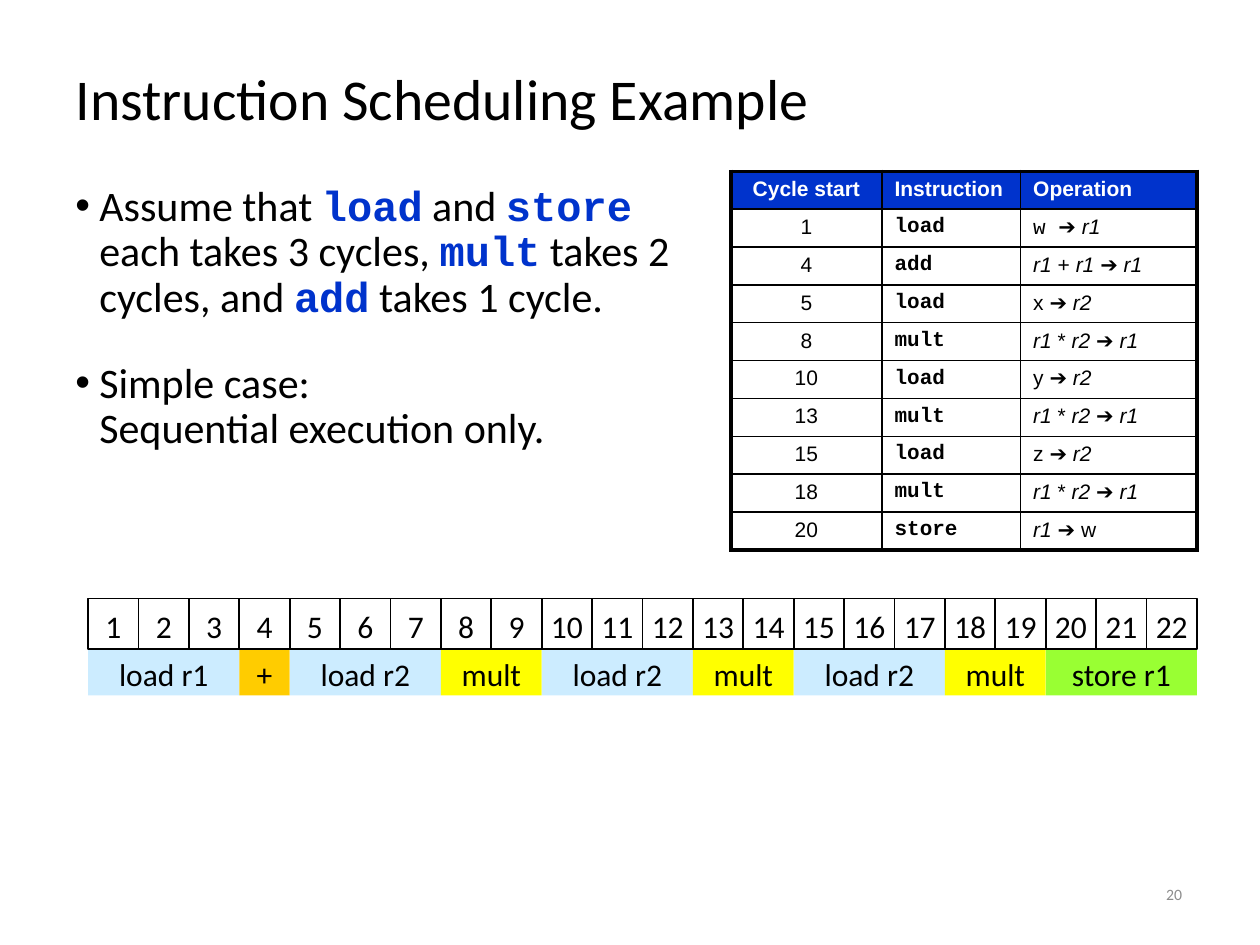
from dataclasses import dataclass

from lxml.etree import SubElement
from pptx import Presentation
from pptx.dml.color import RGBColor
from pptx.enum.shapes import MSO_SHAPE
from pptx.enum.text import MSO_ANCHOR, MSO_AUTO_SIZE, PP_ALIGN
from pptx.oxml.ns import qn
from pptx.util import Inches, Pt


@dataclass(frozen=True)
class Theme:
    """Colours, fonts and type sizes of the slide."""
    black: str = "000000"
    white: str = "FFFFFF"
    blue: str = "0033CC"
    grey: str = "8C8C8C"
    load: str = "CCECFF"
    add: str = "FFCC00"
    mult: str = "FFFF00"
    store: str = "99FF33"
    sans: str = "Calibri"
    table: str = "Arial"
    mono: str = "Courier New"
    title_size: float = 33
    body_size: float = 24
    cell_size: float = 12
    track_size: float = 18
    number_size: float = 9
    thin: float = 1
    thick: float = 2.25


T = Theme()

BULLETS = [
    ("Assume that `load` and `store` each takes 3 cycles, `mult` takes 2 "
     "cycles, and `add` takes 1 cycle.", 7.5),
    ("Simple case: \vSequential execution only.", 23.4),
]
HEADERS = ["Cycle start", "Instruction", "Operation"]
PRODUCT = "_r1_ * _r2 _➔ _r1_"
SCHEDULE = [
    ("1", "`load`", "`w `➔ _r1_"),
    ("4", "`add`", "_r1_ + _r1 _➔ _r1_"),
    ("5", "`load`", "x ➔ _r2_"),
    ("8", "`mult`", PRODUCT),
    ("10", "`load`", "y ➔ _r2_"),
    ("13", "`mult`", PRODUCT),
    ("15", "`load`", "z ➔ _r2_"),
    ("18", "`mult`", PRODUCT),
    ("20", "`store`", "_r1 _➔ w"),
]
TRACK = [
    ("load r1", 3, T.load), ("+", 1, T.add), ("load r2", 3, T.load),
    ("mult", 2, T.mult), ("load r2", 3, T.load), ("mult", 2, T.mult),
    ("load r2", 3, T.load), ("mult", 2, T.mult), ("store r1", 3, T.store),
]
TRACK_LEFT, CYCLES_TOP, CYCLE = 0.7, 4.75, 0.4


def apply(obj, values):
    """Set each named attribute on an object."""
    for name, value in values.items():
        setattr(obj, name, value)


def font(size, name=T.sans, color=T.black, **extra):
    """Return a font format as a dict."""
    return {"size": Pt(size), "name": name, "color": color, **extra}


def add_run(p, text, fmt):
    """Add one formatted run to a paragraph."""
    r = p.add_run()
    r.text = text
    apply(r.font, {k: v for k, v in fmt.items() if k != "color"})
    r.font.color.rgb = RGBColor.from_string(fmt["color"])


def add_rich(p, text, fmt, code=None):
    """Add text in which backticks mark code and underscores mark italics."""
    for i, part in enumerate(text.split("`")):
        for j, bit in enumerate(part.split("_")):
            style = {**fmt, **(code or {})} if i % 2 else fmt
            for n, line in enumerate(bit.split("\v")):
                if n:
                    p.add_line_break()
                if line:
                    add_run(p, line, {**style, "italic": bool(j % 2)})


def add_title(s, text):
    """Place and format the title placeholder."""
    sp = s.shapes.title
    apply(sp, {"left": Inches(0.5), "top": Inches(0.45),
               "width": Inches(9), "height": Inches(0.72)})
    apply(sp.text_frame, {"vertical_anchor": MSO_ANCHOR.MIDDLE,
                          "auto_size": MSO_AUTO_SIZE.NONE})
    p = sp.text_frame.paragraphs[0]
    apply(p, {"alignment": PP_ALIGN.LEFT, "line_spacing": 0.9})
    add_run(p, text, font(T.title_size))


def add_bullets(s, bullets):
    """Add the bulleted text."""
    tf = s.shapes.add_textbox(Inches(0.5), Inches(1.42),
                              Inches(5.3), Inches(2.93)).text_frame
    tf.word_wrap = True
    code = {"name": T.mono, "color": T.blue, "bold": True}
    for i, (text, before) in enumerate(bullets):
        p = tf.add_paragraph() if i else tf.paragraphs[0]
        apply(p, {"line_spacing": 0.9, "space_before": Pt(before)})
        pPr = p._p.get_or_add_pPr()
        pPr.set("marL", str(Inches(0.19)))
        pPr.set("indent", str(-Inches(0.19)))
        SubElement(pPr, qn("a:buFont"), typeface=T.table)
        SubElement(pPr, qn("a:buChar"), char="•")
        add_rich(p, text, font(T.body_size), code)


def add_border(cell, side, width):
    """Draw one side of a table cell."""
    ln = SubElement(cell._tc.get_or_add_tcPr(), qn(f"a:ln{side}"),
                    w=str(Pt(width)))
    fill = SubElement(ln, qn("a:solidFill"))
    SubElement(fill, qn("a:srgbClr"), val=T.black)


def format_cell(cell, outer, fill=None):
    """Draw borders, thick on the outer sides, and set the fill."""
    for side in "LRTB":
        add_border(cell, side, T.thick if side in outer else T.thin)
    if fill:
        cell.fill.solid()
        cell.fill.fore_color.rgb = RGBColor.from_string(fill)
    else:
        cell.fill.background()


def add_schedule(s):
    """Add the table of cycles, instructions and operations."""
    rows = [HEADERS, *SCHEDULE]
    last, height = len(rows) - 1, Inches(0.29)
    tbl = s.shapes.add_table(len(rows), 3, Inches(5.8), Inches(1.36),
                             Inches(3.7), height * len(rows)).table
    apply(tbl, {"first_row": False, "horz_banding": False})
    for col, width in zip(tbl.columns, (1.2, 1.1, 1.4)):
        col.width = Inches(width)
    for i, row in enumerate(rows):
        tbl.rows[i].height = height
        for j, text in enumerate(row):
            cell = tbl.cell(i, j)
            edges = {"T": i == 0, "B": i == last, "L": j == 0, "R": j == 2}
            format_cell(cell, [k for k, on in edges.items() if on],
                        None if i else T.blue)
            p = cell.text_frame.paragraphs[0]
            p.alignment = PP_ALIGN.LEFT if j else PP_ALIGN.CENTER
            fmt = font(T.cell_size, T.table, T.black if i else T.white,
                       bold=i == 0)
            add_rich(p, text, fmt, {"name": T.mono, "bold": j == 1})


def add_box(shapes, left, top, width, height, text, fill=None, **frame):
    """Add a labelled rectangle, filled or outlined."""
    sp = shapes.add_shape(MSO_SHAPE.RECTANGLE, Inches(left), Inches(top),
                          Inches(width), Inches(height))
    sp.shadow.inherit = False
    if fill:
        sp.fill.solid()
        sp.fill.fore_color.rgb = RGBColor.from_string(fill)
        sp.line.fill.background()
    else:
        sp.fill.background()
        sp.line.color.rgb = RGBColor.from_string(T.black)
        sp.line.width = Pt(T.thin)
    apply(sp.text_frame, frame)
    p = sp.text_frame.paragraphs[0]
    p.alignment = PP_ALIGN.CENTER
    add_run(p, text, font(T.track_size))


def add_timeline(s):
    """Add the operation bars and the numbered cycles above them."""
    start = 0
    for text, cycles, fill in TRACK:
        add_box(s.shapes, TRACK_LEFT + start * CYCLE, CYCLES_TOP + CYCLE,
                cycles * CYCLE, 0.37, text, fill,
                vertical_anchor=MSO_ANCHOR.TOP, word_wrap=True)
        start += cycles
    group = s.shapes.add_group_shape()
    for i in range(start):
        add_box(group.shapes, TRACK_LEFT + i * CYCLE, CYCLES_TOP, CYCLE, CYCLE,
                str(i + 1), vertical_anchor=MSO_ANCHOR.MIDDLE,
                word_wrap=False, margin_top=Inches(0.08))


def add_number(s, text):
    """Add the slide number."""
    tf = s.shapes.add_textbox(Inches(7.4), Inches(6.85),
                              Inches(2.08), Inches(0.5)).text_frame
    apply(tf, {"word_wrap": True, "vertical_anchor": MSO_ANCHOR.MIDDLE})
    p = tf.paragraphs[0]
    p.alignment = PP_ALIGN.RIGHT
    add_run(p, text, font(T.number_size, color=T.grey))


def main():
    """Build and save the slide."""
    prs = Presentation()
    apply(prs, {"slide_width": Inches(10), "slide_height": Inches(7.5)})
    s = prs.slides.add_slide(prs.slide_layouts[5])
    add_title(s, "Instruction Scheduling Example")
    add_bullets(s, BULLETS)
    add_schedule(s)
    add_number(s, "20")
    add_timeline(s)
    prs.save("out.pptx")


if __name__ == "__main__":
    main()
